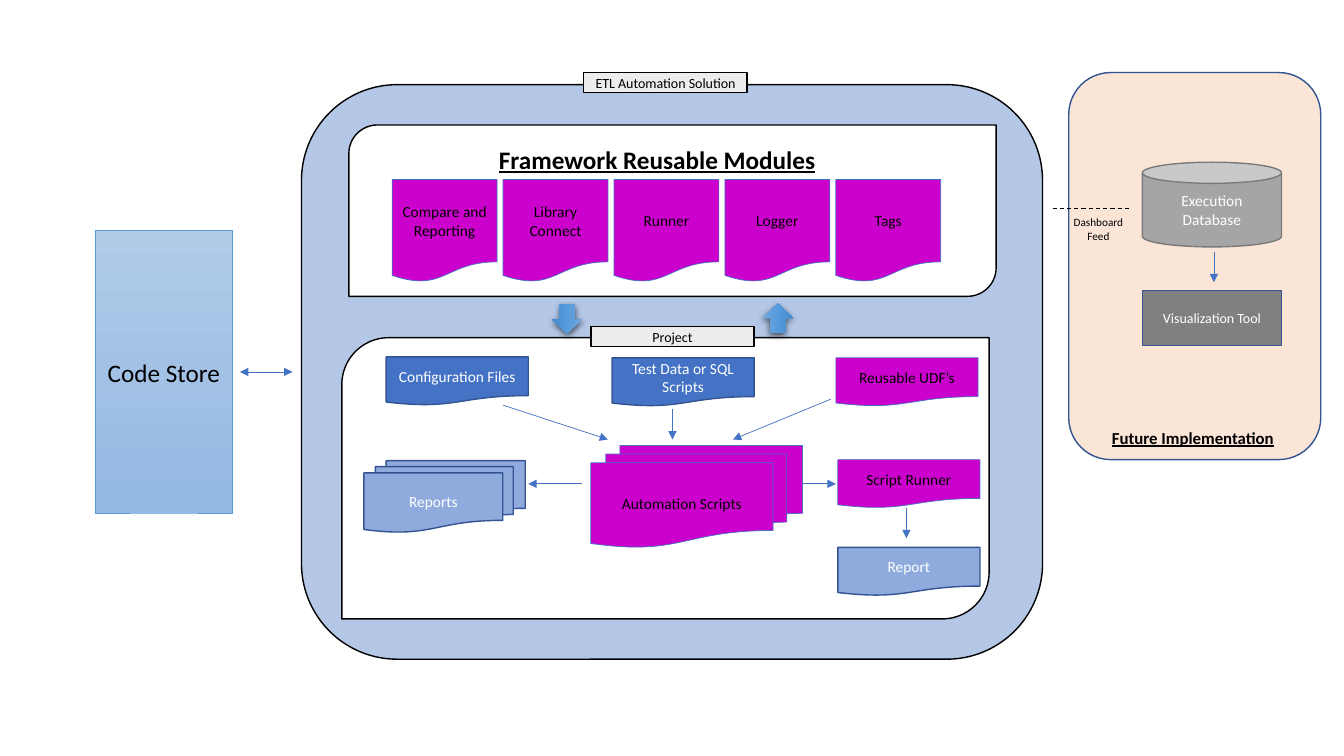
from copy import deepcopy

from pptx import Presentation
from pptx import util as u
from pptx.dml.color import RGBColor
from pptx.enum import dml, shapes, text
from pptx.oxml import parse_xml
from pptx.oxml.ns import nsdecls, qn

COLORS = {
    "black": "000000", "white": "FFFFFF", "magenta": "CC00CC", "blue": "4472C4",
    "navy": "325491", "soft blue": "8FAADC", "pale blue": "B4C7E7", "sky": "5B9BD5",
    "peach": "FBE5D6", "light gray": "EDEDED", "gray": "A5A5A5", "mid gray": "7A7A7A",
    "dark gray": "808080",
}
REPOSITORY_GRADIENT = ("B1CBE9", "A3C1E5", "93B9E4")
ARROW_GRADIENT = ("71A6DB", "559BDB", "448ACA")

# fill, line, line width, text colour
STYLES = {
    "solution": ("pale blue", "black", 1, "black"),
    "panel": ("white", "black", 1, "black"),
    "future": ("peach", "navy", 1, "black"),
    "label": ("light gray", "black", 1, "black"),
    "module": ("magenta", "blue", 0.5, "black"),
    "input": ("blue", "navy", 1, "white"),
    "report": ("soft blue", "navy", 1, "white"),
    "database": ("gray", "mid gray", 1, "white"),
    "tool": ("dark gray", "navy", 1, "white"),
    "repository": (REPOSITORY_GRADIENT, "sky", 0.5, "black"),
    "flow": (ARROW_GRADIENT, None, 0, "black"),
}
SHAPE = shapes.MSO_SHAPE
DOCUMENT = SHAPE.FLOWCHART_DOCUMENT
STACK = SHAPE.FLOWCHART_MULTIDOCUMENT


def rgb(name):
    return RGBColor.from_string(COLORS[name])


class Diagram:
    def __init__(self, slide, font="Calibri"):
        self.s = slide
        self.font = font

    def set_words(self, sp, words, size, color, bold=False, align=text.PP_ALIGN.CENTER):
        tf = sp.text_frame
        tf.word_wrap = True
        tf.text = words
        p = tf.paragraphs[0]
        p.alignment = align
        f = p.runs[0].font
        f.name, f.size, f.bold, f.underline = self.font, u.Pt(size), bold, bold
        f.color.rgb = rgb(color)

    def gradient(self, sp, stops):
        """Fill from top to bottom with three evenly spaced hex colours."""
        sp.fill.gradient()
        sp.fill.gradient_angle = 270
        first = sp._element.spPr.find(".//" + qn("a:gs"))
        first.addnext(deepcopy(first))
        for i, (stop, color) in enumerate(zip(sp.fill.gradient_stops, stops)):
            stop.position = i / 2
            stop.color.rgb = RGBColor.from_string(color)

    def shape(self, kind, box, style, words="", size=11):
        fill, line, width, color = STYLES[style]
        sp = self.s.shapes.add_shape(kind, *map(u.Inches, box))
        if isinstance(fill, tuple):
            self.gradient(sp, fill)
        else:
            sp.fill.solid()
            sp.fill.fore_color.rgb = rgb(fill)
        if line:
            sp.line.color.rgb = rgb(line)
            sp.line.width = u.Pt(width)
        else:
            sp.line.fill.background()
        sp.shadow.inherit = False
        if words:
            sp.text_frame.vertical_anchor = text.MSO_ANCHOR.MIDDLE
            self.set_words(sp, words, size, color)
        return sp

    def block_arrow(self, x, y, rotation):
        sp = self.shape(SHAPE.RIGHT_ARROW, (x, y, 0.29, 0.31), "flow")
        sp.rotation = rotation
        sp._element.spPr.find(qn("a:effectLst")).append(parse_xml(
            f'<a:outerShdw {nsdecls("a")} blurRad="{u.Pt(4.5)}" dist="{u.Pt(1.5)}" '
            'dir="5400000" algn="ctr" rotWithShape="0"><a:srgbClr val="000000">'
            '<a:alpha val="63000"/></a:srgbClr></a:outerShdw>'))

    def text(self, box, words, size, **options):
        sp = self.s.shapes.add_textbox(*map(u.Inches, box))
        self.set_words(sp, words, size, "black", **options)

    def line(self, start, end, color="blue", width=0.5, dash=None, ends=("tailEnd",)):
        c = self.s.shapes.add_connector(
            shapes.MSO_CONNECTOR.STRAIGHT, *map(u.Inches, start + end))
        c.line.color.rgb = rgb(color)
        c.line.width = u.Pt(width)
        if dash:
            c.line.dash_style = dash
        for tag in ends:
            c.line._get_or_add_ln().append(
                parse_xml(f'<a:{tag} {nsdecls("a")} type="triangle"/>'))
        c._element.spPr.append(parse_xml(f'<a:effectLst {nsdecls("a")}/>'))


def main():
    prs = Presentation()
    prs.slide_width, prs.slide_height = u.Inches(13.33), u.Inches(7.5)
    d = Diagram(prs.slides.add_slide(prs.slide_layouts[6]))

    # Containers
    d.shape(SHAPE.ROUNDED_RECTANGLE, (10.6, 0.72, 2.5, 3.84), "future")
    d.shape(SHAPE.ROUNDED_RECTANGLE, (2.99, 0.84, 7.35, 5.7), "solution")
    d.shape(SHAPE.RECTANGLE, (5.79, 0.72, 1.62, 0.2), "label", "ETL Automation Solution", 10)

    # Framework modules
    d.shape(SHAPE.ROUND_2_DIAG_RECTANGLE, (3.46, 1.24, 6.42, 1.7), "panel")
    d.text((4.85, 1.38, 3.63, 0.4), "Framework Reusable Modules", 18,
           bold=True, align=text.PP_ALIGN.LEFT)
    modules = ("Compare and Reporting", "Library Connect", "Runner", "Logger", "Tags")
    for i, module in enumerate(modules):
        d.shape(DOCUMENT, (3.89 + 1.1 * i, 1.78, 1.04, 1.02), "module", module)

    # Project
    d.shape(SHAPE.ROUND_2_DIAG_RECTANGLE, (3.39, 3.35, 6.42, 2.79), "panel")
    d.shape(SHAPE.RECTANGLE, (5.86, 3.24, 1.62, 0.2), "label", "Project", 10)
    d.shape(STACK, (5.86, 4.42, 2.1, 1.01), "module", "Automation Scripts")
    d.shape(STACK, (3.61, 4.57, 1.6, 0.71), "report", "Reports")
    for x, y, style, words in (
        (3.83, 3.54, "input", "Configuration Files"),
        (6.07, 3.55, "input", "Test Data or SQL Scripts"),
        (8.29, 3.55, "module", "Reusable UDF’s"),
        (8.31, 4.56, "module", "Script Runner"),
        (8.31, 5.43, "report", "Report"),
    ):
        d.shape(DOCUMENT, (x, y, 1.41, 0.48), style, words)
    d.block_arrow(5.48, 3.01, 90)
    d.block_arrow(7.57, 3, 270)

    # Repository and future parts
    d.shape(SHAPE.RECTANGLE, (0.95, 2.29, 1.35, 2.8), "repository", "Code Store", 18)
    d.shape(SHAPE.CAN, (11.33, 1.61, 1.38, 0.84), "database", "Execution Database")
    d.shape(SHAPE.RECTANGLE, (11.33, 2.88, 1.38, 0.55), "tool", "Visualization Tool", 10)
    d.text((10.51, 2.09, 0.77, 0.37), "Dashboard Feed", 8)
    d.text((10.93, 4.19, 1.96, 0.3), "Future Implementation", 12,
           bold=True, align=text.PP_ALIGN.LEFT)

    # Arrows
    for start, end in (
        ((4.99, 4.02), (6.03, 4.36)),
        ((6.67, 4.06), (6.67, 4.36)),
        ((8.24, 3.96), (7.27, 4.36)),
        ((5.77, 4.8), (5.24, 4.8)),
        ((7.96, 4.8), (8.29, 4.8)),
        ((8.99, 5.04), (8.99, 5.34)),
        ((12.04, 2.5), (12.04, 2.8)),
    ):
        d.line(start, end)
    d.line((2.38, 3.69), (2.9, 3.69), ends=("headEnd", "tailEnd"))
    d.line((10.44, 2.07), (11.22, 2.07), "black", 0.75, dml.MSO_LINE.DASH, ends=())

    prs.save("out.pptx")


if __name__ == "__main__":
    main()
